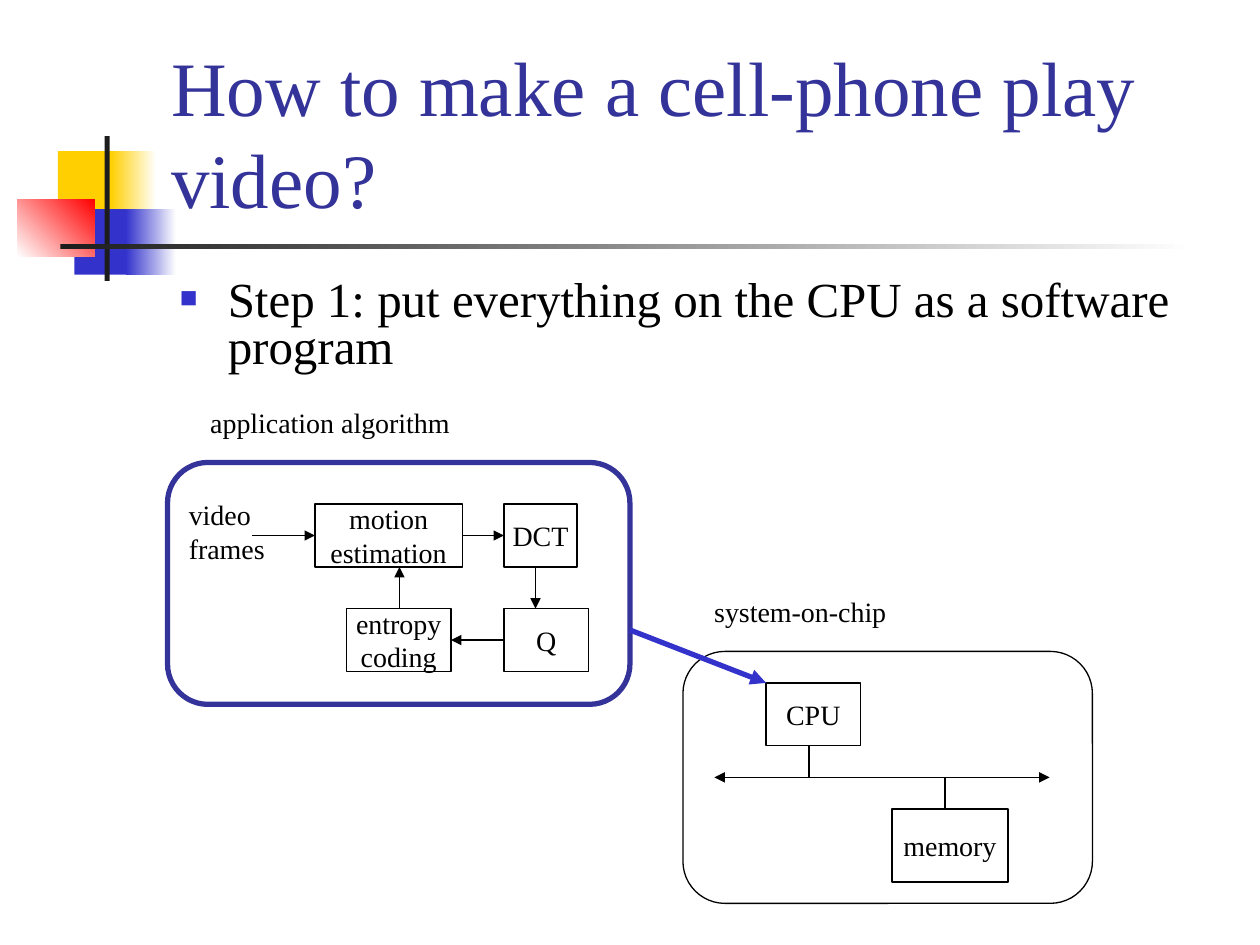
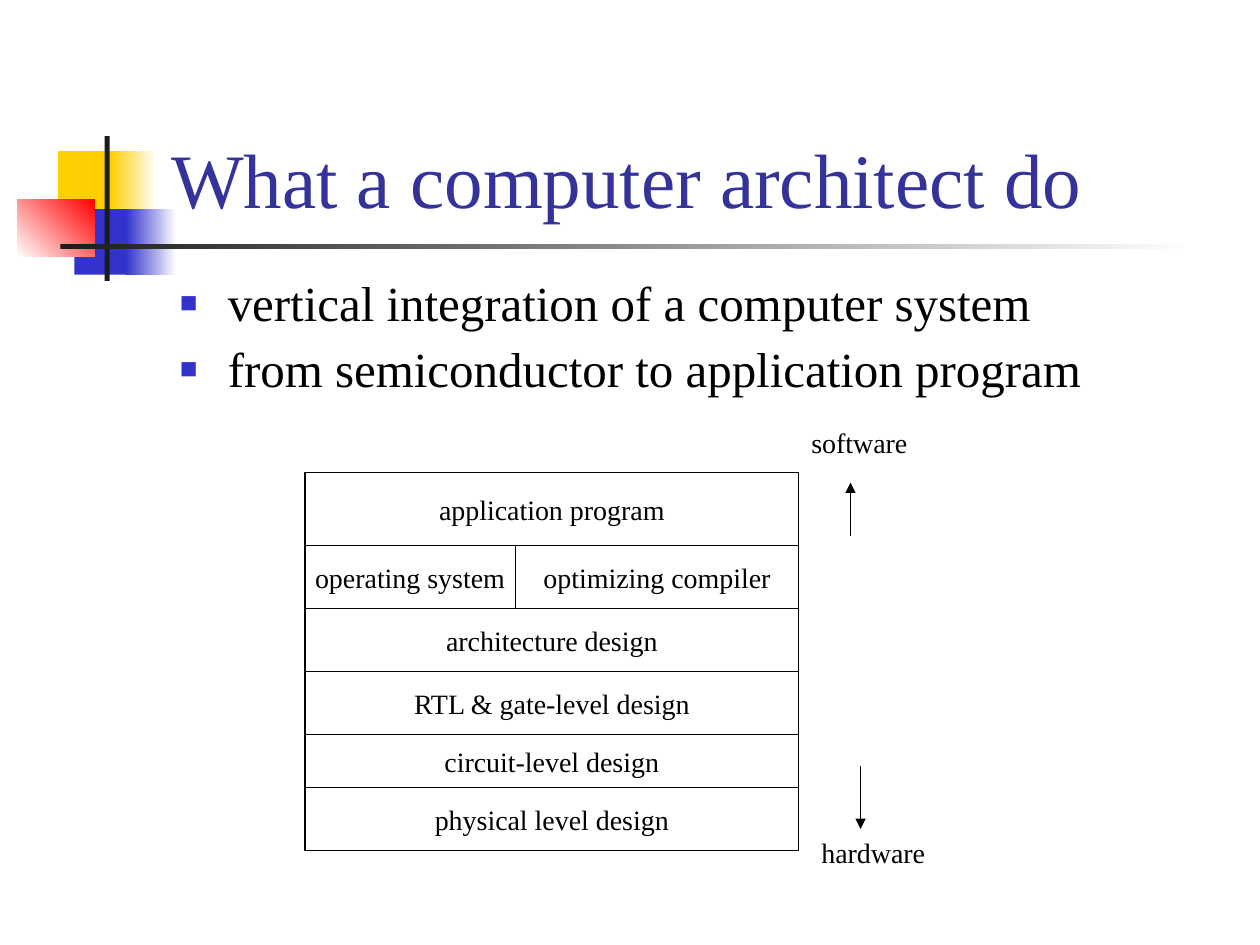
from lxml import etree
from pptx import Presentation
from pptx.dml.color import RGBColor
from pptx.enum import shapes, text
from pptx.oxml import ns
from pptx.util import Inches, Pt

COLORS = {
    "white": "FFFFFF",
    "black": "000000",
    "ink": "1C1C1C",
    "yellow": "FFCF01",
    "blue": "3333CC",
    "red": "FF0000",
    "navy": "333399",
}
FONT = "Times New Roman"
TITLE_BOX = (1.26, 0.23, 8.52, 1.6)
THIN, THICK = 0.75, 3


def color(name):
    return RGBColor.from_string(COLORS[name])


def write(frame, lines, size, name="black", align=text.PP_ALIGN.LEFT):
    """Fill a text frame with one paragraph per line and return the paragraphs."""
    paras = []
    for index, line in enumerate(lines):
        para = frame.add_paragraph() if index else frame.paragraphs[0]
        para.alignment = align
        span = para.add_run()
        span.text = line
        span.font.name = FONT
        span.font.size = Pt(size)
        span.font.color.rgb = color(name)
        paras.append(para)
    return paras


def add_text(page, box, lines, size, name="black"):
    """Add wrapped text in a box of fixed size."""
    frame = page.shapes.add_textbox(*map(Inches, box)).text_frame
    frame.word_wrap = True
    return frame, write(frame, lines, size, name)


def add_label(page, box, lines):
    """Add a small label that grows with its text and never wraps."""
    frame = page.shapes.add_textbox(*map(Inches, box)).text_frame
    frame.word_wrap = False
    frame.auto_size = text.MSO_AUTO_SIZE.SHAPE_TO_FIT_TEXT
    write(frame, lines, 16)


def add_block(page, box, start, end=None, angle=0):
    """Add a borderless rectangle, plain or fading from start to end."""
    block = page.shapes.add_shape(shapes.MSO_SHAPE.RECTANGLE, *map(Inches, box))
    block.shadow.inherit = False
    block.line.fill.background()
    if end is None:
        block.fill.solid()
        block.fill.fore_color.rgb = color(start)
        return
    block.fill.gradient()
    block.fill.gradient_angle = angle
    for stop, name, position in zip(block.fill.gradient_stops, (start, end), (0, 1)):
        stop.color.rgb = color(name)
        stop.position = position


def add_outline(page, box, lines=(), rounded=False, name="black", width=THIN):
    """Add an unfilled box, with centred lines of text if there are any."""
    kind = shapes.MSO_SHAPE.ROUNDED_RECTANGLE if rounded else shapes.MSO_SHAPE.RECTANGLE
    outline = page.shapes.add_shape(kind, *map(Inches, box))
    outline.shadow.inherit = False
    outline.fill.background()
    outline.line.color.rgb = color(name)
    outline.line.width = Pt(width)
    if rounded:
        outline.adjustments[0] = 0.167
    if lines:
        frame = outline.text_frame
        frame.word_wrap = False
        frame.vertical_anchor = text.MSO_ANCHOR.MIDDLE
        write(frame, lines, 16, align=text.PP_ALIGN.CENTER)


def add_line(page, start, end, ends=("tailEnd",), name="black", width=THIN):
    line = page.shapes.add_connector(
        shapes.MSO_CONNECTOR.STRAIGHT, *map(Inches, (*start, *end)))
    line.line.color.rgb = color(name)
    line.line.width = Pt(width)
    properties = line._element.spPr
    stroke = properties.find(ns.qn("a:ln"))
    for arrow in ends:
        etree.SubElement(stroke, ns.qn(f"a:{arrow}"), type="triangle")
    etree.SubElement(properties, ns.qn("a:effectLst"))


def shift(box, x, y):
    """Turn a point inside a box into a point on the page."""
    return box[0] + x, box[1] + y


def add_emblem(page, left, top):
    """Draw the coloured squares and the crossing rules beside the title."""
    blocks = [
        ((0.32, 0.12, 0.48, 0.52), "yellow"),
        ((0.74, 0.12, 0.36, 0.52), "yellow", "white"),
        ((0.45, 0.58, 0.46, 0.52), "blue"),
        ((0.86, 0.58, 0.4, 0.52), "blue", "white"),
        ((0, 0.5, 0.61, 0.46), "white", "red", 45),
        ((0.69, 0, 0.04, 1.15), "ink"),
        ((0.34, 0.86, 9, 0.04), "ink", "white"),
    ]
    for (x, y, width, height), *paint in blocks:
        add_block(page, (left + x, top + y, width, height), *paint)


def add_bullets(page, box, lines, spacing):
    paras = add_text(page, box, lines, 28)[1]
    for index, para in enumerate(paras):
        properties = para._p.get_or_add_pPr()
        properties.set("marL", str(Inches(0.38)))
        properties.set("indent", str(-Inches(0.38)))
        paint = etree.SubElement(properties, ns.qn("a:buClr"))
        etree.SubElement(paint, ns.qn("a:srgbClr"), val=COLORS["blue"])
        etree.SubElement(properties, ns.qn("a:buSzPct"), val="60000")
        etree.SubElement(properties, ns.qn("a:buFont"), typeface=FONT)
        etree.SubElement(properties, ns.qn("a:buChar"), char="■")
        para.line_spacing = spacing
        if index:
            para.space_before = Pt(7)


def add_page(deck, title, bullets, height, spacing):
    """Add a page with the emblem, the title and the bullets."""
    page = deck.slides.add_slide(deck.slide_layouts[6])
    add_emblem(page, 0.14, 1.08)
    frame = add_text(page, TITLE_BOX, [title], 44, "navy")[0]
    frame.vertical_anchor = text.MSO_ANCHOR.BOTTOM
    add_bullets(page, (1.33, 2.17, 8.5, height), bullets, spacing)
    return page


def add_algorithm(page, box):
    """Draw the loop of video coding stages inside its rounded frame."""
    stages = [
        ((1.17, 0.33), (1.17, 0.5), ["motion", "estimation"]),
        ((2.67, 0.33), (0.58, 0.5), ["DCT"]),
        ((2.67, 1.16), (0.67, 0.5), ["Q"]),
        ((1.42, 1.16), (0.83, 0.5), ["entropy", "coding"]),
    ]
    flows = [
        ((0.67, 0.58), (1.17, 0.58)),
        ((2.34, 0.58), (2.67, 0.58)),
        ((2.92, 0.83), (2.92, 1.16)),
        ((2.67, 1.41), (2.25, 1.41)),
        ((1.84, 1.16), (1.84, 0.83)),
    ]
    for corner, size, lines in stages:
        add_outline(page, (*shift(box, *corner), *size), lines)
    for start, end in flows:
        add_line(page, shift(box, *start), shift(box, *end))
    add_label(page, (*shift(box, 0.07, 0.23), 0.82, 0.64), ["video", "frames"])
    add_outline(page, box, rounded=True, name="navy", width=THICK)
    add_label(page, (*shift(box, 0.24, -0.5), 2.12, 0.37), ["application algorithm"])


def add_chip(page, box):
    """Draw the CPU and the memory on their shared bus."""
    add_outline(page, (*shift(box, 0.66, 0.25), 0.75, 0.5), ["CPU"])
    add_outline(page, (*shift(box, 1.66, 1.25), 0.92, 0.58), ["memory"])
    add_line(page, shift(box, 0.25, 1), shift(box, 2.91, 1), ("headEnd", "tailEnd"))
    for x, y in [(1, 0.75), (2.08, 1.25)]:
        add_line(page, shift(box, x, y), shift(box, x, 1), ())
    add_outline(page, box, rounded=True)
    add_label(page, (*shift(box, 0.15, -0.5), 1.6, 0.37), ["system-on-chip"])


def add_stack(page, left, top, width):
    """Pile up the design layers from software down to hardware."""
    split = 1.67
    layers = [
        (0.58, {"application program": width}),
        (0.5, {"operating system": split, "optimizing compiler": width - split}),
        (0.5, {"architecture design": width}),
        (0.5, {"RTL & gate-level design": width}),
        (0.42, {"circuit-level design": width}),
        (0.5, {"physical level design": width}),
    ]
    y = top
    for height, cells in layers:
        x = left
        for label, cell_width in cells.items():
            add_outline(page, (x, y, cell_width, height), [label])
            x += cell_width
        y += height


def add_scale(page, left, top):
    """Point up to software and down to hardware."""
    add_label(page, (left, top, 0.98, 0.37), ["software"])
    add_line(page, (left + 0.41, top + 0.92), (left + 0.41, top + 0.5))
    add_line(page, (left + 0.49, top + 2.75), (left + 0.49, top + 3.25))
    add_label(page, (left + 0.08, top + 3.25, 1.05, 0.37), ["hardware"])


def main():
    deck = Presentation()
    deck.slide_width, deck.slide_height = Inches(10), Inches(7.5)

    page = add_page(deck, "How to make a cell-phone play video?",
                    ["Step 1: put everything on the CPU as a software program"],
                    0.92, 0.8)
    add_algorithm(page, (1.33, 3.67, 3.67, 1.92))
    add_chip(page, (5.42, 5.17, 3.25, 2))
    add_line(page, (5, 5), (6.08, 5.42), name="blue", width=THICK)

    page = add_page(deck, "What a computer architect do",
                    ["vertical integration of a computer system",
                     "from semiconductor to application program"],
                    1.04, 0.9)
    add_stack(page, 2.42, 3.75, 3.92)
    add_scale(page, 6.34, 3.33)

    deck.save("out.pptx")


if __name__ == "__main__":
    main()
